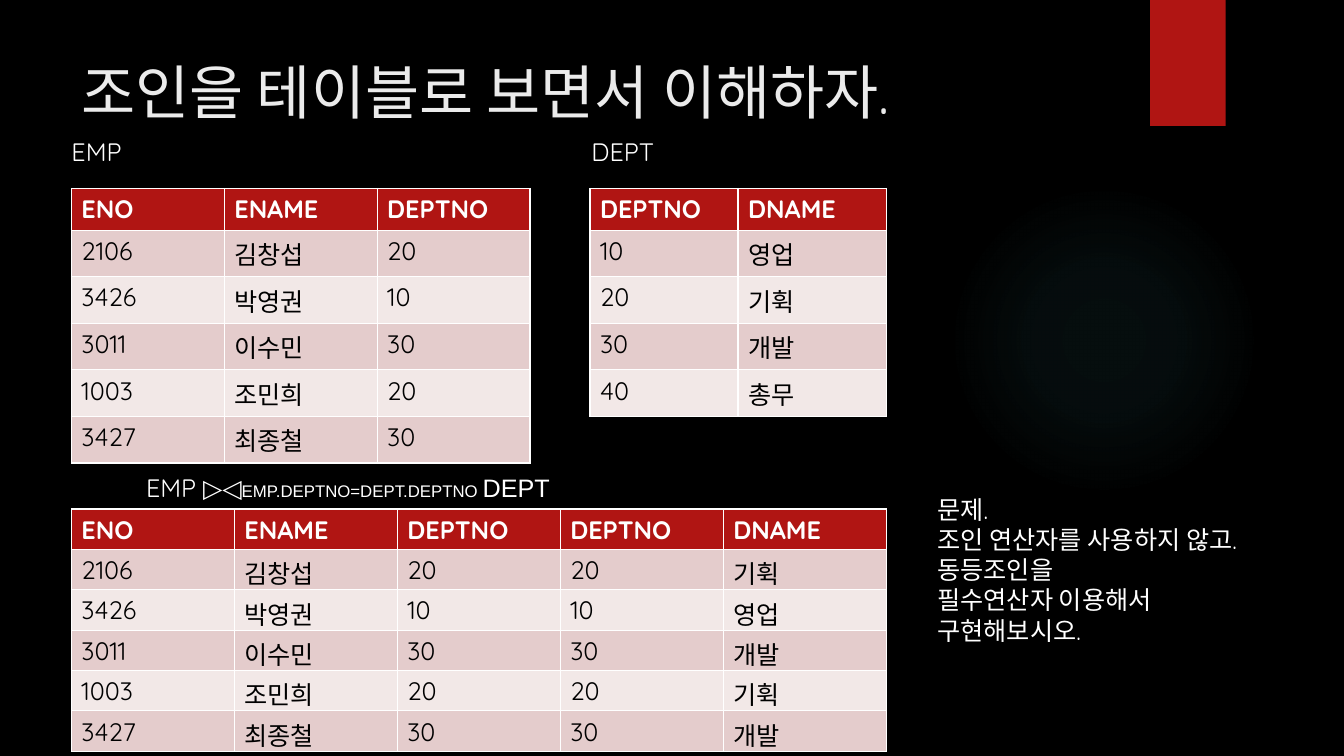
import pptx
import pptx.util
import pptx.dml.color
import pptx.enum.shapes
import pptx.enum.text
import pptx.oxml
import pptx.oxml.ns

Pt = pptx.util.Pt
FONT = "Quicksand"
RED, WHITE, BANDS = "B01513", "FFFFFF", ("E4CCCC", "F2E8E7")
GLOW_STOPS = ((0, 7), (36, 6), (69, 0), (100, 0))
LEFT, TABLE_TOP, DEPT_LEFT = 51, 134.6, 421.4

EMP = [("ENO", "ENAME", "DEPTNO"), ("2106", "김창섭", "20"), ("3426", "박영권", "10"),
       ("3011", "이수민", "30"), ("1003", "조민희", "20"), ("3427", "최종철", "30")]
DEPT = [("DEPTNO", "DNAME"), ("10", "영업"), ("20", "기휙"), ("30", "개발"), ("40", "총무")]
DEPT_NAMES = dict(DEPT)
JOINED = [(*row, row[-1], DEPT_NAMES[row[-1]]) for row in EMP]


def rgb(value):
    """Return the colour for a hex string."""
    return pptx.dml.color.RGBColor.from_string(value)


def add_run(p, text, size=18, color=WHITE, **formats):
    """Append a formatted run to a paragraph."""
    r = p.add_run()
    r.text = text
    r.font.color.rgb = rgb(color)
    for name, value in {"name": FONT, "size": Pt(size), "bold": False, **formats}.items():
        setattr(r.font, name, value)


def add_decor(s, glow_box, tab_box):
    """Place the soft glow and the red tab."""
    shapes = pptx.enum.shapes.MSO_SHAPE
    for kind, box in ((shapes.OVAL, glow_box), (shapes.RECTANGLE, tab_box)):
        sp = s.shapes.add_shape(kind, *map(Pt, box))
        sp.shadow.inherit = False
        sp.line.fill.background()
        sp.fill.solid()
        sp.fill.fore_color.rgb = rgb(RED)
        if kind == shapes.OVAL:
            stops = "".join(
                f'<a:gs pos="{pos * 1000}"><a:srgbClr val="50B9C1">'
                f'<a:alpha val="{alpha * 1000}"/></a:srgbClr></a:gs>'
                for pos, alpha in GLOW_STOPS)
            grad = pptx.oxml.parse_xml(
                f'<a:gradFill {pptx.oxml.ns.nsdecls("a")}><a:gsLst>{stops}</a:gsLst>'
                '<a:path path="circle"><a:fillToRect l="50000" t="50000" r="50000" '
                'b="50000"/></a:path></a:gradFill>')
            solid = sp.fill._xPr.find(pptx.oxml.ns.qn("a:solidFill"))
            solid.getparent().replace(solid, grad)


def add_title(s, box, text):
    """Move and format the title placeholder."""
    sp = s.shapes.title
    for name, value in zip(("left", "top", "width", "height"), box):
        setattr(sp, name, Pt(value))
    tf = sp.text_frame
    tf.vertical_anchor = pptx.enum.text.MSO_ANCHOR.TOP
    p = tf.paragraphs[0]
    p.alignment = pptx.enum.text.PP_ALIGN.LEFT
    add_run(p, text, 42, "EBEBEB")


def add_text(s, box, paragraphs):
    """Add a wrapped text box from paragraphs made of (text, formats) runs."""
    tf = s.shapes.add_textbox(*map(Pt, box)).text_frame
    tf.word_wrap = True
    for i, runs in enumerate(paragraphs):
        p = tf.add_paragraph() if i else tf.paragraphs[0]
        for text, formats in runs:
            add_run(p, text, **formats)


def add_relation(s, box, rows, row_height):
    """Add a table with a red header and banded rows."""
    frame = s.shapes.add_table(len(rows), len(rows[0]), *map(Pt, box))
    table = frame.table
    for i, values in enumerate(rows):
        table.rows[i].height = Pt(row_height)
        for j, value in enumerate(values):
            cell = table.cell(i, j)
            cell.fill.solid()
            cell.fill.fore_color.rgb = rgb(BANDS[(i - 1) % 2] if i else RED)
            add_run(cell.text_frame.paragraphs[0], value,
                    color="000000" if i else WHITE, bold=i == 0)
    frame.height = Pt(box[3])


def build_join_slide(prs):
    """Build the slide that shows a join through its tables."""
    s = prs.slides.add_slide(prs.slide_layouts[5])
    s.background.fill.solid()
    s.background.fill.fore_color.rgb = rgb("000000")
    add_decor(s, (677.5, 131.8, 221.8, 221.8), (821.5, 0, 54, 90))
    add_title(s, (LEFT, 36, 741, 110), "조인을 테이블로 보면서 이해하자.")
    add_relation(s, (LEFT, TABLE_TOP, 327.6, 175), EMP, 29.2)
    add_relation(s, (DEPT_LEFT, TABLE_TOP, 211.6, 145.4), DEPT, 29.2)
    add_text(s, (44, 93.6, 119.5, 29), [[("EMP", {})]])
    add_text(s, (415.4, 93.6, 176.4, 29), [[("DEPT", {})]])
    arial = {"name": "Arial"}
    add_text(s, (97.2, 334, 481.7, 29), [[
        ("EMP ", {}), ("▷◁", arial),
        ("EMP.DEPTNO=DEPT.DEPTNO ", {"size": 12, **arial}), ("DEPT", arial)]])
    add_relation(s, (LEFT, 363.6, 582, 172.8), JOINED, 26.6)
    add_text(s, (662.4, 349.2, 237, 116.6), [
        [(text, {})] for text in ("문제.", "조인 연산자를 사용하지 않고. 동등조인을",
                                  "필수연산자 이용해서 구현해보시오.")])


def main():
    """Create and save the presentation."""
    prs = pptx.Presentation()
    prs.slide_width, prs.slide_height = Pt(960), Pt(540)
    build_join_slide(prs)
    prs.save("out.pptx")


if __name__ == "__main__":
    main()
